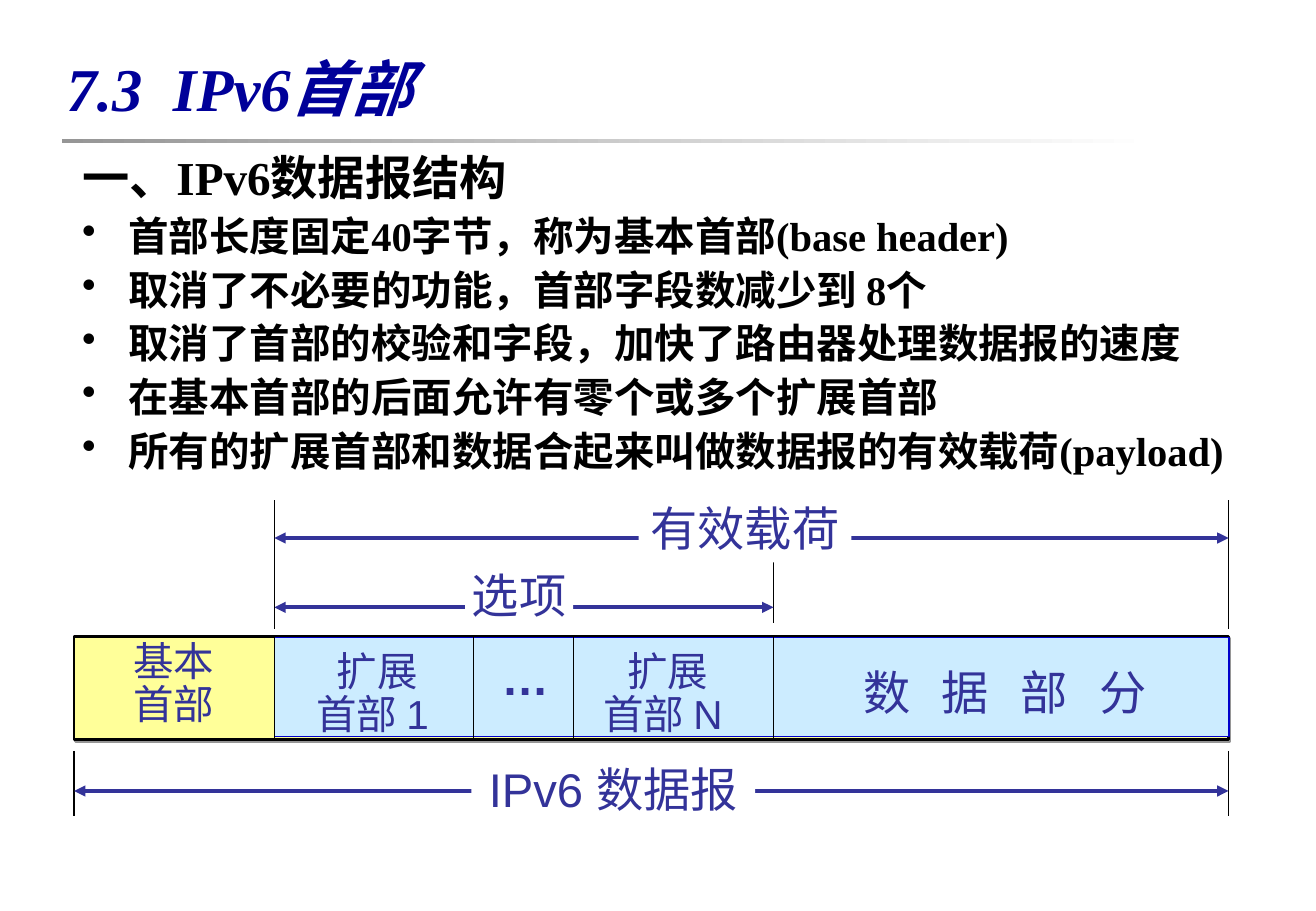
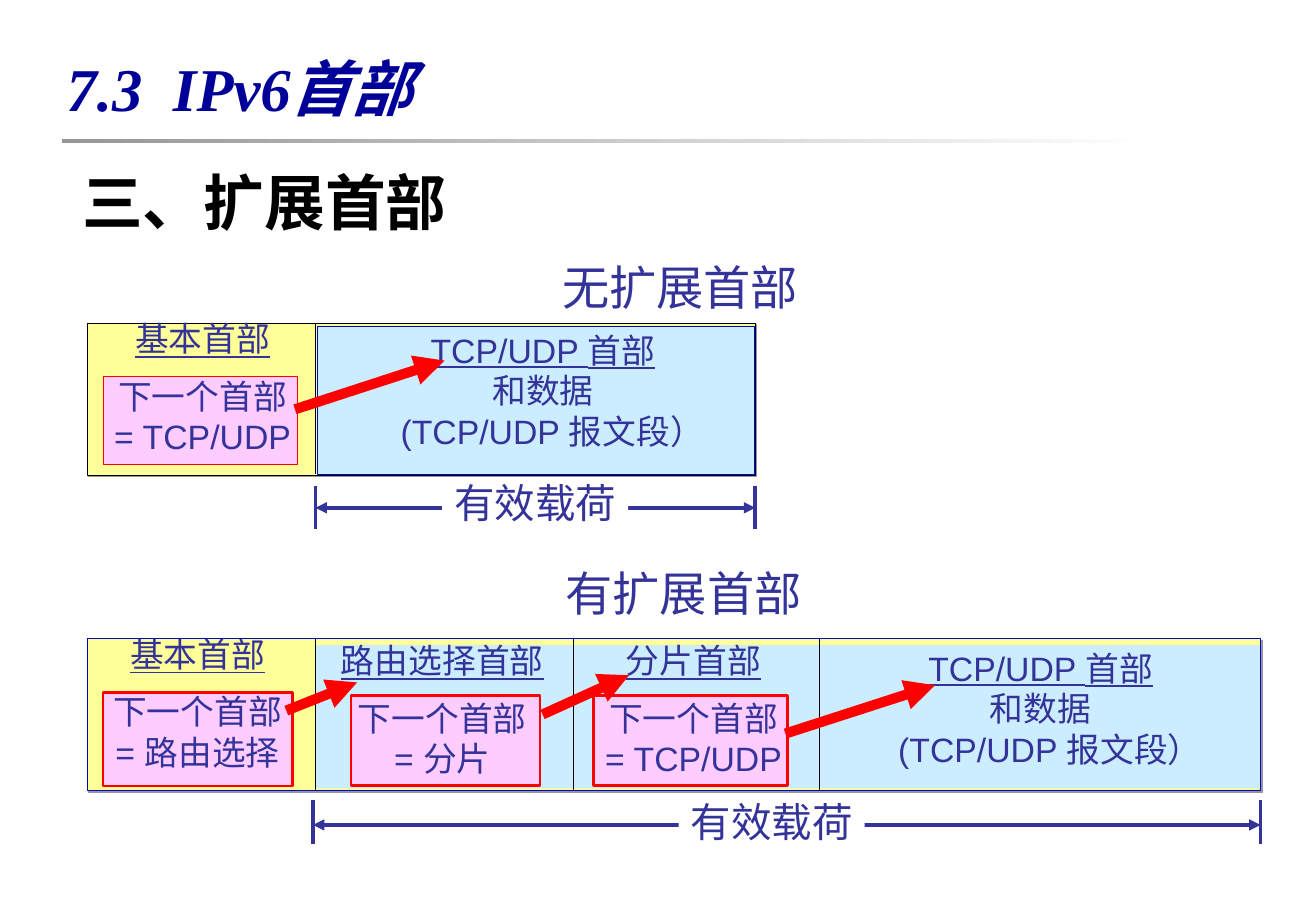
from dataclasses import dataclass

from lxml.etree import SubElement
from pptx import Presentation
from pptx.dml.color import RGBColor
from pptx.enum.shapes import MSO_CONNECTOR as Link, MSO_SHAPE as Shape
from pptx.enum.text import MSO_ANCHOR as Anchor, PP_ALIGN as Align
from pptx.oxml.ns import qn
from pptx.util import Cm, Pt

NAVY = RGBColor(0x00, 0x00, 0x99)
INK = RGBColor(0x33, 0x33, 0x99)
BLUE = RGBColor(0x00, 0x00, 0xCC)
BLACK = RGBColor(0x00, 0x00, 0x00)
WHITE = RGBColor(0xFF, 0xFF, 0xFF)
GREY = RGBColor(0x96, 0x96, 0x96)
RED = RGBColor(0xFF, 0x00, 0x00)
YELLOW = RGBColor(0xFF, 0xFF, 0x99)
SKY = RGBColor(0xCC, 0xEC, 0xFF)
PINK = RGBColor(0xFF, 0xCC, 0xFF)

SERIF, SANS, LATO = "Times New Roman", "Arial", "Lato"
HANG = 0.97


@dataclass
class Line:
    """One line of a label; before is in points, indent in cm."""
    text: str
    under: bool = False
    before: int = 0
    indent: float = 0


def cms(*nums):
    return [Cm(num) for num in nums]


def add_run(para, text, size, color=INK, face=SANS, bold=False,
            slant=False, under=False, track=0):
    """Add a run; track is extra letter spacing in points."""
    run = para.add_run()
    run.text = text
    font = run.font
    font.name, font.size = face, Pt(size)
    font.bold, font.italic, font.underline = bold, slant, under
    font.color.rgb = color
    if track:
        run._r.get_or_add_rPr().set("spc", str(round(track * 100)))


def add_box(slide, place, fill, line=None, width=0.75, shade=False):
    """Add a rectangle, with a small grey shadow if shade is set."""
    box = slide.shapes.add_shape(Shape.RECTANGLE, *cms(*place))
    box.shadow.inherit = False
    box.fill.solid()
    box.fill.fore_color.rgb = fill
    if line is None:
        box.line.fill.background()
    else:
        box.line.color.rgb = line
        box.line.width = Pt(width)
    if shade:
        effect = box._element.spPr.find(qn("a:effectLst"))
        drop = SubElement(effect, qn("a:outerShdw"), dist=str(Pt(1.4)),
                          dir="2700000", algn="ctr", rotWithShape="0")
        SubElement(drop, qn("a:srgbClr"), val=str(GREY))
    return box


def add_line(slide, start, end, color=BLACK, width=0.75, ends=()):
    """Add a connector; ends lists headEnd and tailEnd arrowheads."""
    link = slide.shapes.add_connector(Link.STRAIGHT, *cms(*start, *end))
    link.line.color.rgb = color
    link.line.width = Pt(width)
    props = link._element.spPr
    for name in ends:
        SubElement(props.find(qn("a:ln")), qn("a:" + name), type="triangle")
    SubElement(props, qn("a:effectLst"))


def add_label(slide, place, lines, size, fill=None, lead=None, **style):
    """Add centred text, on a filled rectangle if fill is given."""
    if fill is None:
        box = slide.shapes.add_textbox(*cms(*place))
    else:
        box = add_box(slide, place, fill)
    frame = box.text_frame
    frame.word_wrap = True
    frame.vertical_anchor = Anchor.TOP
    frame.margin_left = frame.margin_right = 0
    for num, line in enumerate(lines):
        para = frame.add_paragraph() if num else frame.paragraphs[0]
        para.alignment = Align.CENTER
        if lead:
            para.line_spacing = lead
        if line.before:
            para.space_before = Pt(line.before)
        if line.indent:
            para._p.get_or_add_pPr().set("marL", str(Cm(line.indent)))
        add_run(para, line.text, size, under=line.under, **style)


def add_span(slide, left, right, level, text, size, place, ticks,
             color=BLACK, width=0.75):
    """Add a double arrow between two ticks, with a label on it."""
    for pos in (left, right):
        add_line(slide, (pos, ticks[0]), (pos, ticks[1]), color, width)
    add_line(slide, (left, level), (right, level), INK, 2.25,
             ("headEnd", "tailEnd"))
    add_label(slide, place, [Line(text)], size, WHITE)


def add_walls(slide, spots, top, base):
    for pos in spots:
        add_line(slide, (pos, top), (pos, base))


def add_next(slide, pink, place, name, target, width=1.5):
    """Add a header's name and its pink next-header field."""
    add_box(slide, pink, PINK, RED, width)
    add_label(slide, place, [Line(name, under=True),
                             Line("下一个首部", before=10),
                             Line("= " + target)], 20)


def add_data(slide, left, top):
    add_label(slide, (left, top, 7.42, 2.79),
              [Line("TCP/UDP 首部", under=True), Line("和数据"),
               Line("(TCP/UDP 报文段）", indent=0.39)], 20)


def add_text(slide, top, height, head, size, points=(), lead=1.0):
    """Add the section heading and its bullet points."""
    box = slide.shapes.add_textbox(*cms(1.47, top, 25.07, height))
    frame = box.text_frame
    frame.word_wrap = True
    para = frame.paragraphs[0]
    para.line_spacing = lead
    add_run(para, head, size, BLACK, SERIF, True)
    for point in points:
        para = frame.add_paragraph()
        para.line_spacing = lead
        para.space_before = Pt(6)
        props = para._p.get_or_add_pPr()
        props.set("marL", str(Cm(HANG)))
        props.set("indent", str(-Cm(HANG)))
        SubElement(props, qn("a:buChar"), char="•")
        add_run(para, point, 24, BLACK, SERIF, True)


def add_rule(slide):
    """Put the fading title rule on the slide's layout."""
    rule = add_box(slide, (1.3, 2.9, 22.86, 0.1), GREY)
    rule.fill.gradient()
    rule.fill.gradient_angle = 0
    for stop, color in zip(rule.fill.gradient_stops, (GREY, WHITE)):
        stop.color.rgb = color
    slide.slide_layout.shapes.element.append(rule._element)


def add_slide(deck):
    slide = deck.slides.add_slide(deck.slide_layouts[5])
    title = slide.shapes.title
    title.left, title.top, title.width, title.height = cms(
        1.14, 0.71, 24.99, 2.21)
    frame = title.text_frame
    frame.vertical_anchor = Anchor.MIDDLE
    para = frame.paragraphs[0]
    para.alignment = Align.LEFT
    for text, track in (("7.3", 0), (" ", 9), ("IPv6首部", 0)):
        add_run(para, text, 36, NAVY, SERIF, True, True, track=track)
    return slide


def draw_form(slide):
    """Fill the slide on the datagram's structure."""
    add_text(slide, 3.12, 7.39, "一、IPv6数据报结构", 28, (
        "首部长度固定40字节，称为基本首部(base header)",
        "取消了不必要的功能，首部字段数减少到 8个",
        "取消了首部的校验和字段，加快了路由器处理数据报的速度",
        "在基本首部的后面允许有零个或多个扩展首部",
        "所有的扩展首部和数据合起来叫做数据报的有效载荷(payload)"), 0.9)

    add_box(slide, (1.55, 13.31, 24.15, 2.16), YELLOW, BLACK, 1.5, True)
    add_box(slide, (5.75, 13.33, 19.96, 2.08), SKY, BLUE)
    add_walls(slide, (5.74, 9.91, 11.99, 16.18), 13.31, 15.47)

    add_label(slide, (2.54, 13.28, 2.18, 2.08),
              [Line("基本"), Line("首部")], 24, lead=0.9)
    for left, width, mark in ((6.27, 3.05, "1"), (12.27, 3.2, "N")):
        add_label(slide, (left, 13.49, width, 2.08),
                  [Line("扩展", indent=0.2), Line("首部 " + mark)],
                  24, lead=0.9)
    add_label(slide, (9.98, 13.44, 1.75, 1.45),
              [Line("…", indent=0.27)], 28, bold=True)
    add_label(slide, (17.81, 13.74, 6.43, 1.45),
              [Line("数 据 部 分")], 28, track=6.2)

    add_span(slide, 5.74, 16.18, 12.7, "选项", 28,
             (9.73, 11.71, 2.26, 1.45), (11.71, 13.03))
    add_span(slide, 1.55, 25.7, 16.54, "IPv6 数据报", 28,
             (9.86, 15.77, 5.94, 1.45), (15.7, 17.07))
    add_span(slide, 5.74, 25.7, 11.25, "有效载荷", 28,
             (13.36, 10.31, 4.45, 1.45), (10.46, 13.16))


def draw_chain(slide):
    """Fill the slide on extension headers."""
    add_text(slide, 3.33, 2, "三、扩展首部", 36)
    for left, top, name in ((11.51, 5.28, "无扩展首部"),
                            (11.58, 11.68, "有扩展首部")):
        add_label(slide, (left, top, 5.44, 1.45), [Line(name)], 28,
                  face=LATO)
    for left, right, level, spot, ticks in (
            (6.6, 15.8, 10.62, (9.25, 9.88), (10.16, 11.07)),
            (6.55, 26.37, 17.25, (14.2, 16.54), (16.74, 17.65))):
        add_span(slide, left, right, level, "有效载荷", 24,
                 (*spot, 3.89, 1.27), ticks, INK, 2.25)

    add_box(slide, (1.83, 6.76, 13.97, 3.18), YELLOW, BLACK, shade=True)
    add_box(slide, (6.65, 6.83, 9.14, 3.1), SKY, BLUE)
    add_next(slide, (2.16, 7.87, 4.06, 1.85), (2.13, 6.53, 4.22, 3.15),
             "基本首部", "TCP/UDP", 0.75)
    add_walls(slide, (6.6,), 6.76, 9.91)
    add_data(slide, 7.65, 6.76)

    add_box(slide, (1.83, 13.36, 24.54, 3.18), YELLOW, BLUE, shade=True)
    add_box(slide, (6.6, 13.49, 19.76, 3), SKY)
    add_next(slide, (2.16, 14.48, 3.96, 1.96), (2.08, 13.13, 4.11, 3.15),
             "基本首部", "路由选择")
    add_next(slide, (7.34, 14.55, 3.96, 1.88), (6.88, 13.26, 4.75, 3.15),
             "路由选择首部", "分片")
    add_next(slide, (12.42, 14.55, 4.06, 1.88), (12.4, 13.26, 4.22, 3.15),
             "分片首部", "TCP/UDP")
    add_walls(slide, (6.6, 11.99, 17.14), 13.36, 16.54)
    add_data(slide, 18.06, 13.41)

    for start, end in (((6.17, 8.56), (9.3, 7.54)),
                       ((5.99, 14.86), (7.47, 14.27)),
                       ((11.35, 14.94), (13.16, 14.12)),
                       ((16.43, 15.34), (19.56, 14.33))):
        add_line(slide, start, end, RED, 6, ("tailEnd",))


def main():
    deck = Presentation()
    deck.slide_width, deck.slide_height = cms(27.53, 19.05)
    form = add_slide(deck)
    add_rule(form)
    draw_form(form)
    draw_chain(add_slide(deck))
    deck.save("out.pptx")


if __name__ == "__main__":
    main()
